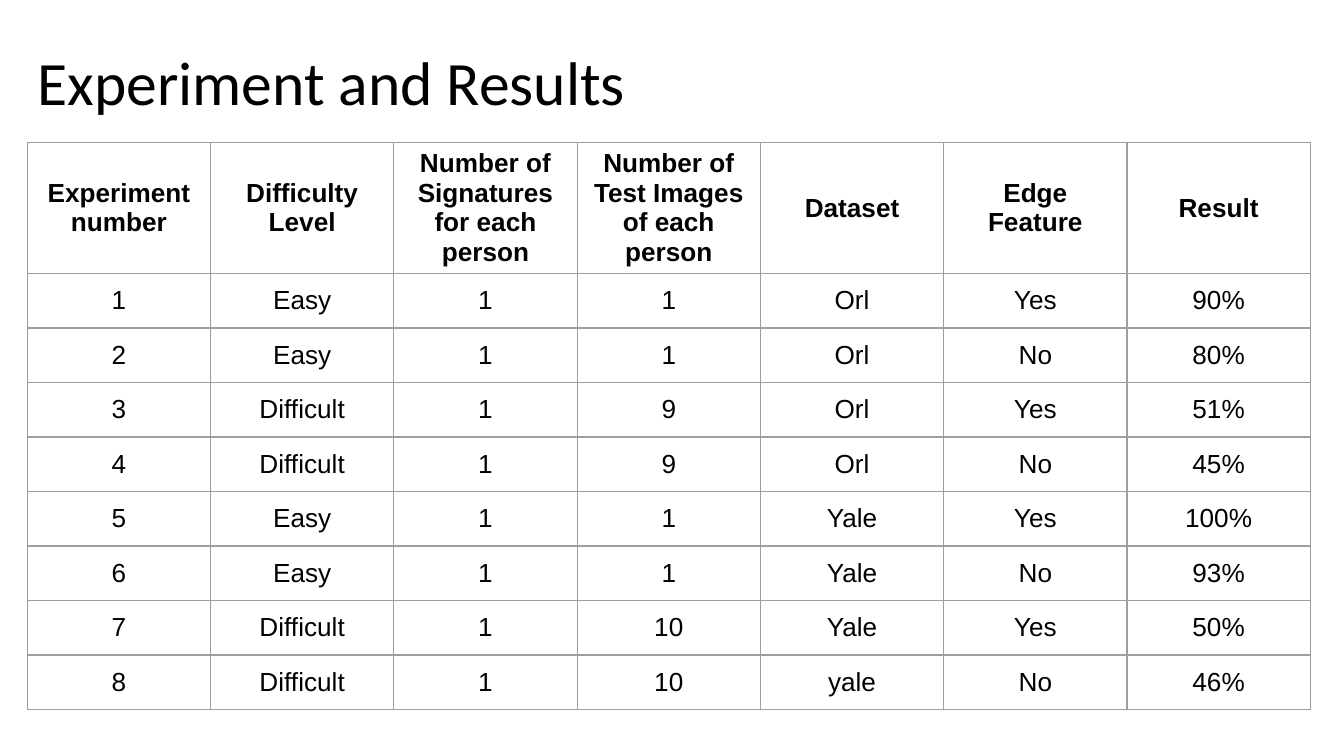
import typing

import pptx
import pptx.dml.color
import pptx.enum.text
import pptx.oxml
import pptx.oxml.ns
import pptx.util

Pt = pptx.util.Pt
ALIGN = pptx.enum.text.PP_ALIGN
MIDDLE = pptx.enum.text.MSO_ANCHOR.MIDDLE
BLACK, WHITE, GREY = "000000", "FFFFFF", "9E9E9E"
LEFT, TOP, WIDTH = 14.6, 76.3, 687.4
HEAD, ROW = 70.2, 29.2


class Trial(typing.NamedTuple):
    level: str
    signs: int
    tests: int
    data: str
    edge: str
    result: str


HEADER = ["Experiment number", "Difficulty Level",
          "Number of Signatures for each person",
          "Number of Test Images\nof each person",
          "Dataset", "Edge Feature", "Result"]
TRIALS = [
    Trial("Easy", 1, 1, "Orl", "Yes", "90%"),
    Trial("Easy", 1, 1, "Orl", "No", "80%"),
    Trial("Difficult", 1, 9, "Orl", "Yes", "51%"),
    Trial("Difficult", 1, 9, "Orl", "No", "45%"),
    Trial("Easy", 1, 1, "Yale", "Yes", "100%"),
    Trial("Easy", 1, 1, "Yale", "No", "93%"),
    Trial("Difficult", 1, 10, "Yale", "Yes", "50%"),
    Trial("Difficult", 1, 10, "yale", "No", "46%"),
]


def color(code: str) -> pptx.dml.color.RGBColor:
    return pptx.dml.color.RGBColor.from_string(code)


def add_run(para, text: str, font: str, size: float, bold: bool = False) -> None:
    run = para.add_run()
    run.text = text
    run.font.name, run.font.size, run.font.bold = font, Pt(size), bold
    run.font.color.rgb = color(BLACK)


def add_edges(cell) -> None:
    """Line all four sides; the lines must come before the fill."""
    props = cell._tc.get_or_add_tcPr()
    for spot, side in enumerate(("lnL", "lnR", "lnT", "lnB")):
        props.insert(spot, pptx.oxml.parse_xml(
            f'<a:{side} {pptx.oxml.ns.nsdecls("a")} w="{Pt(0.75)}"><a:solidFill>'
            f'<a:srgbClr val="{GREY}"/></a:solidFill></a:{side}>'))


def fill_cell(cell, text: str, bold: bool) -> None:
    cell.fill.solid()
    cell.fill.fore_color.rgb = color(WHITE)
    add_edges(cell)
    cell.vertical_anchor = MIDDLE
    frame = cell.text_frame
    for spot, line in enumerate(text.split("\n")):
        para = frame.add_paragraph() if spot else frame.paragraphs[0]
        para.alignment = ALIGN.CENTER
        add_run(para, line, "Arial", 14, bold)


def add_title(slide, text: str) -> None:
    title = slide.shapes.title
    title.left, title.top = Pt(LEFT), Pt(15.1)
    title.width, title.height = Pt(620.6), Pt(61.2)
    frame = title.text_frame
    frame.word_wrap = True
    frame.vertical_anchor = MIDDLE
    frame.margin_left = frame.margin_right = Pt(5.4)
    frame.margin_top = frame.margin_bottom = Pt(2.7)
    para = frame.paragraphs[0]
    para.alignment = ALIGN.LEFT
    para.line_spacing = 0.9
    add_run(para, text, "Calibri", 33)


def add_grid(slide, rows: list[list[str]]) -> None:
    count = len(rows[0])
    table = slide.shapes.add_table(
        len(rows), count, Pt(LEFT), Pt(TOP), Pt(WIDTH),
        Pt(HEAD + ROW * (len(rows) - 1))).table
    table.horz_banding = False
    for col in table.columns:
        col.width = Pt(WIDTH / count)
    for r, row in enumerate(rows):
        table.rows[r].height = Pt(ROW if r else HEAD)
        for c, text in enumerate(row):
            fill_cell(table.cell(r, c), text, bold=r == 0)


def main() -> None:
    deck = pptx.Presentation()
    deck.slide_width, deck.slide_height = Pt(720), Pt(405)
    slide = deck.slides.add_slide(deck.slide_layouts[5])
    # Title
    add_title(slide, "Experiment and Results")
    # Table of numbered trials
    body = [[str(n), *map(str, trial)] for n, trial in enumerate(TRIALS, 1)]
    add_grid(slide, [HEADER, *body])
    deck.save("out.pptx")


if __name__ == "__main__":
    main()
